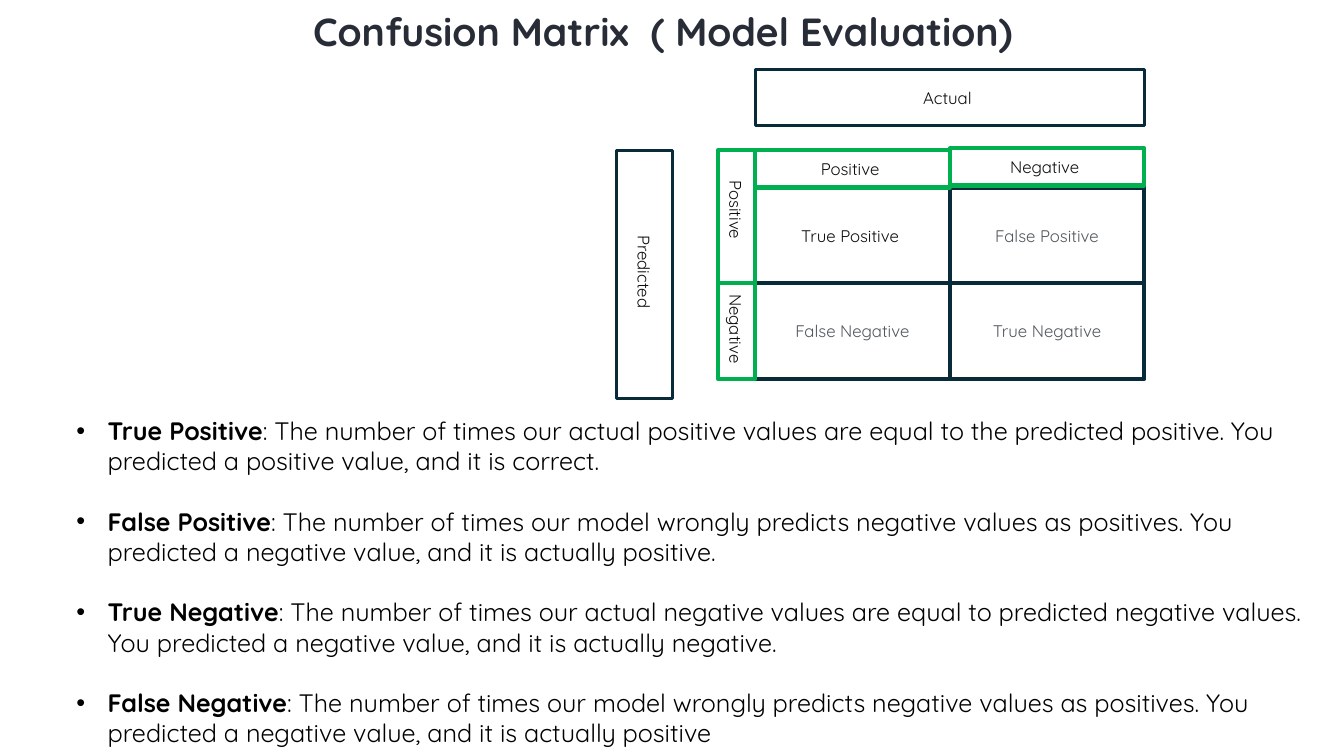
from pptx import Presentation, util as u
from pptx.dml.color import RGBColor
from pptx.enum import shapes, text
from lxml import etree

HUES = {"navy": "092A39", "green": "00B050", "ink": "0D0D0D",
        "gray": "51565E", "black": "000000", "title": "272C37"}
FACE = "Quicksand"
WIDE, HIGH = 13.33, 7.5
A = "{http://schemas.openxmlformats.org/drawingml/2006/main}"

CELLS = [[("True Positive ", "ink"), ("False Positive", "gray")],
         [("False Negative", "gray"), ("True Negative", "gray")]]
SIDES = ["Positive ", "Negative "]
TERMS = [
    ("True Positive", ": The number of times our actual positive values are equal to "
     "the predicted positive. You predicted a positive value, and it is correct."),
    ("False Positive", ": The number of times our model wrongly predicts negative values "
     "as positives. You predicted a negative value, and it is actually positive."),
    ("True Negative", ": The number of times our actual negative values are equal to "
     "predicted negative values. You predicted a negative value, and it is actually negative."),
    ("False Negative", ": The number of times our model wrongly predicts negative values "
     "as positives. You predicted a negative value, and it is actually positive"),
]


def inches(box):
    return [u.Inches(v) for v in box]


def turned(box):
    """Give the unrotated frame that fills the box after a quarter turn."""
    x, y, w, h = box
    return x + (w - h) / 2, y + (h - w) / 2, h, w


def write(para, words, hue, size, bold=False):
    run = para.add_run()
    run.text = words
    look = {"name": FACE, "size": u.Pt(size), "bold": bold}
    for key, value in look.items():
        setattr(run.font, key, value)
    run.font.color.rgb = RGBColor.from_string(HUES[hue])


def frame(slide, box, line, words="", hue="ink", weight=3, turn=False):
    """Draw an outlined box, with its text turned downwards if asked."""
    place = turned(box) if turn else box
    rect = slide.shapes.add_shape(shapes.MSO_SHAPE.RECTANGLE, *inches(place))
    rect.shadow.inherit = False
    rect.fill.background()
    rect.line.color.rgb = RGBColor.from_string(HUES[line])
    rect.line.width = u.Pt(weight)
    rect.rotation = 90 if turn else 0
    if words:
        body = rect.text_frame
        body.vertical_anchor = text.MSO_ANCHOR.MIDDLE
        body.paragraphs[0].alignment = text.PP_ALIGN.CENTER
        write(body.paragraphs[0], words, hue, 12)


def label(slide, box, words, hue, size, bold=False, turn=False):
    place = turned(box) if turn else box
    note = slide.shapes.add_textbox(*inches(place))
    note.rotation = 90 if turn else 0
    note.text_frame.word_wrap = True
    para = note.text_frame.paragraphs[0]
    para.alignment = text.PP_ALIGN.CENTER
    write(para, words, hue, size, bold)


def matrix(slide, box):
    """Fill the box with the four cells, and set the headings around it."""
    x, y, w, h = box
    col, row, band, bar = w / 2, h / 2, 0.37, 0.56
    frame(slide, (x, y - 1.17, w, bar), "navy", "Actual ", weight=2.25)
    for r, line in enumerate(CELLS):
        for c, (words, hue) in enumerate(line):
            frame(slide, (x + c * col, y + r * row, col, row), "navy", words, hue)
    frame(slide, (x - 1.38, y - band, bar, h + 0.56), "navy", "Predicted ",
          weight=2.25, turn=True)
    for c, words in enumerate(SIDES):
        frame(slide, (x + c * col, y - band - c * 0.02, col, band), "green", words)
    tops, ends = [y - band, y + row], [y + row, y + h]
    mids = [y + 0.25, y + 1.43]
    for words, top, end, mid in zip(SIDES, tops, ends, mids):
        frame(slide, (x - band, top, band, end - top), "green", turn=True)
        label(slide, (x - 0.34, mid - 0.7, 0.3, 1.39), words, "ink", 12, turn=True)


def glossary(slide, box):
    body = slide.shapes.add_textbox(*inches(box)).text_frame
    body.word_wrap = True
    for i, (term, words) in enumerate(TERMS):
        para = body.add_paragraph() if i else body.paragraphs[0]
        para.space_before = u.Pt(21.6 if i else 0)
        props = para._p.get_or_add_pPr()
        props.set("marL", str(u.Inches(0.31)))
        props.set("indent", str(-u.Inches(0.31)))
        etree.SubElement(props, A + "buFont", typeface="Arial")
        etree.SubElement(props, A + "buChar", char="•")
        write(para, term, "black", 18, True)
        write(para, words, "black", 18)


def main():
    deck = Presentation()
    deck.slide_width, deck.slide_height = inches((WIDE, HIGH))
    slide = deck.slides.add_slide(deck.slide_layouts[6])
    matrix(slide, (7.49, 1.86, 3.86, 1.9))
    glossary(slide, (0.66, 4.07, 12.59, 3.43))
    label(slide, (0, 0.02, 13.26, 0.57), "Confusion Matrix  ( Model Evaluation) ",
          "title", 28, True)
    deck.save("out.pptx")


if __name__ == "__main__":
    main()
